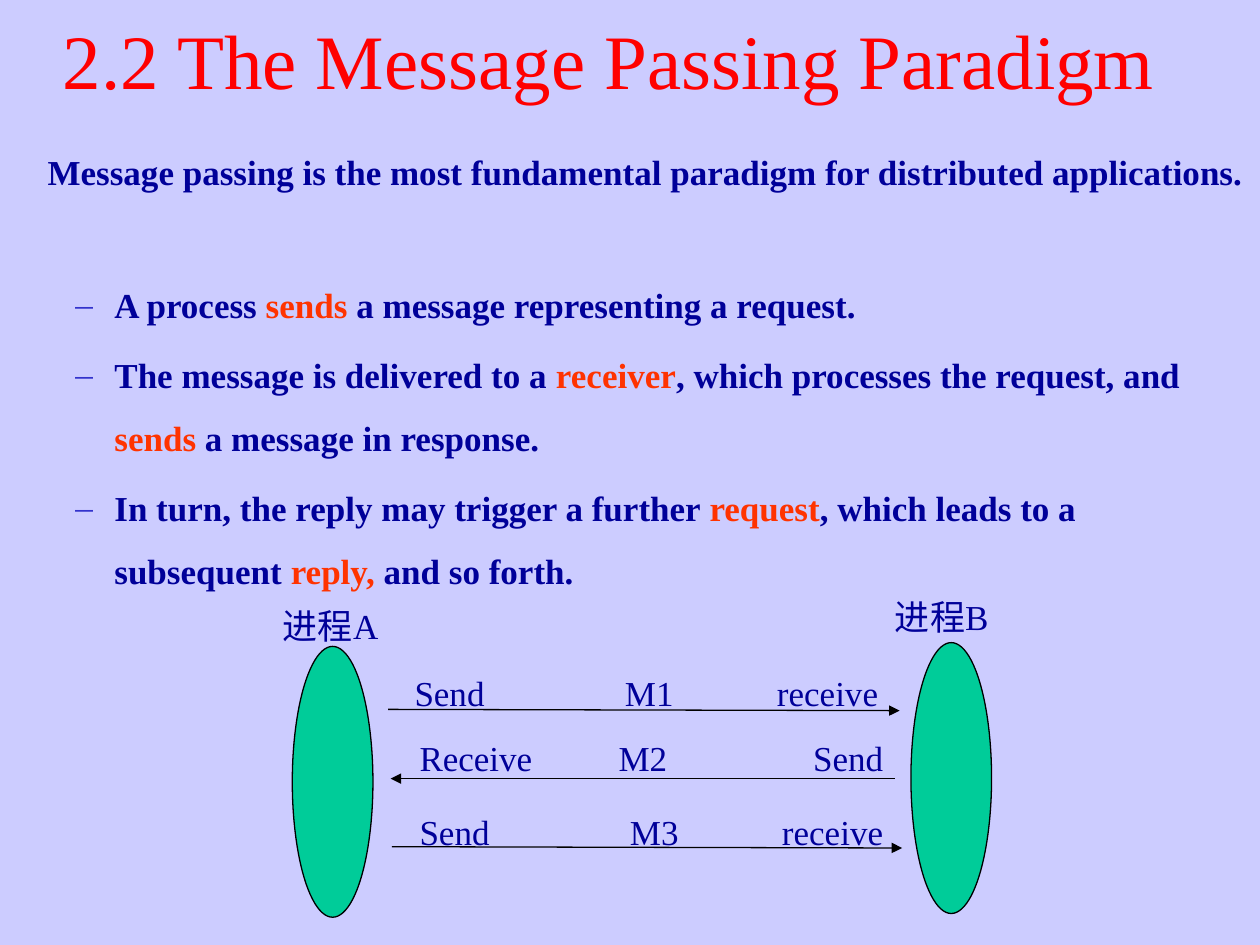
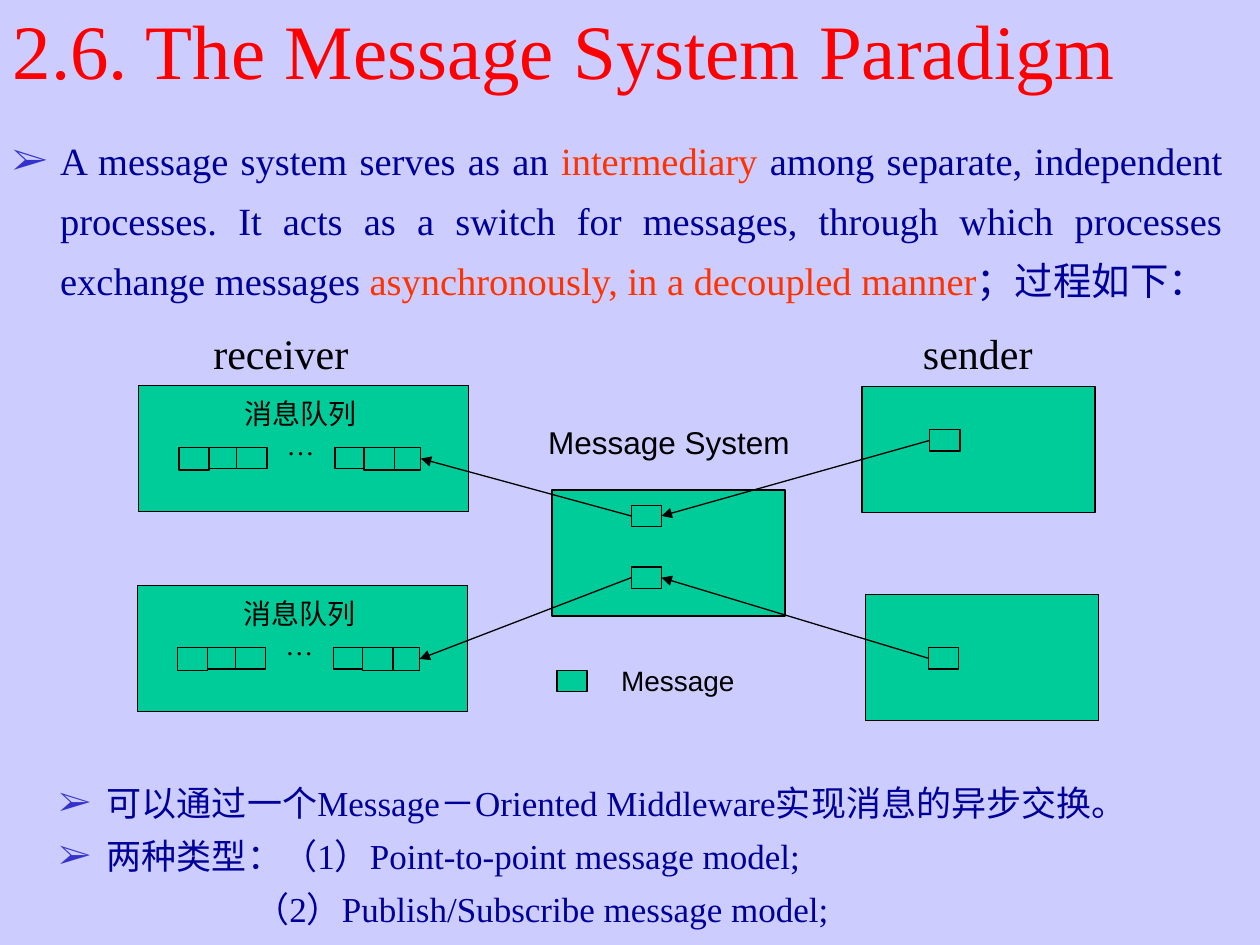
from lxml.etree import SubElement
from pptx import Presentation
from pptx.dml.color import RGBColor
from pptx.enum.shapes import MSO_CONNECTOR, MSO_SHAPE
from pptx.enum.text import MSO_ANCHOR, MSO_AUTO_SIZE, PP_ALIGN
from pptx.oxml.ns import qn
from pptx.util import Inches, Pt

# Shared look
LAVENDER = RGBColor(0xCC, 0xCC, 0xFF)
RED = RGBColor(0xFF, 0x00, 0x00)
NAVY = RGBColor(0x00, 0x00, 0x99)
ORANGE = RGBColor(0xFF, 0x33, 0x00)
GREEN = RGBColor(0x00, 0xCC, 0x99)
BLACK = RGBColor(0x00, 0x00, 0x00)
BULLET_BLUE = RGBColor(0x33, 0x33, 0xCC)
SERIF, SANS = "Times New Roman", "Arial"
TOP, LEFT, BOTTOM, RIGHT = range(4)


def inches(*lengths):
    return [Inches(length) for length in lengths]


def new_slide(prs, title, box, align):
    slide = prs.slides.add_slide(prs.slide_layouts[5])
    slide.background.fill.solid()
    slide.background.fill.fore_color.rgb = LAVENDER
    heading = slide.shapes.title
    heading.left, heading.top, heading.width, heading.height = inches(*box)
    frame = heading.text_frame
    frame.text = title
    frame.auto_size = MSO_AUTO_SIZE.NONE
    frame.vertical_anchor = MSO_ANCHOR.MIDDLE
    paragraph = frame.paragraphs[0]
    paragraph.alignment = align
    style_font(paragraph.runs[0].font, 44, RED)
    return slide


def style_font(font, size, color, name=SERIF, bold=False):
    font.name, font.size, font.bold = name, Pt(size), bold
    font.color.rgb = color


def set_indent(paragraph, margin, hanging=0, bullet=None):
    props = paragraph._p.get_or_add_pPr()
    props.set("marL", str(Inches(margin)))
    props.set("indent", str(-Inches(hanging)))
    if bullet:
        color = SubElement(props, qn("a:buClr"))
        SubElement(color, qn("a:srgbClr"), val=str(BULLET_BLUE))
        SubElement(props, qn("a:buFont"), typeface=SERIF)
        SubElement(props, qn("a:buChar"), char=bullet)


def set_tabs(paragraph, stops):
    tabs = SubElement(paragraph._p.get_or_add_pPr(), qn("a:tabLst"))
    for position, align in stops:
        SubElement(tabs, qn("a:tab"), pos=str(Inches(position)), algn=align)


def add_text(slide, box, lines, size, color, name=SERIF, bold=False,
             align=PP_ALIGN.LEFT, spacing=1.0, before=0.2):
    """Write one paragraph per line; words between asterisks are highlighted."""
    frame = slide.shapes.add_textbox(*inches(*box)).text_frame
    frame.word_wrap = True
    for index, line in enumerate(lines):
        paragraph = frame.add_paragraph() if index else frame.paragraphs[0]
        paragraph.alignment = align
        paragraph.line_spacing = spacing
        if index:
            paragraph.space_before = Pt(size * before)
        for part, words in enumerate(line.split("*")):
            if words:
                run = paragraph.add_run()
                run.text = words
                style_font(run.font, size, ORANGE if part % 2 else color, name, bold)
    return frame


def add_block(slide, kind, box):
    block = slide.shapes.add_shape(kind, *inches(*box))
    block.shadow.inherit = False
    block.fill.solid()
    block.fill.fore_color.rgb = GREEN
    block.line.color.rgb = BLACK
    block.line.width = Pt(0.75)
    return block


def add_arrow(slide, start=(0, 0), end=(0, 0)):
    arrow = slide.shapes.add_connector(MSO_CONNECTOR.STRAIGHT, *inches(*start, *end))
    arrow.line.color.rgb = BLACK
    arrow.line.width = Pt(0.75)
    SubElement(arrow.line._get_or_add_ln(), qn("a:tailEnd"), type="triangle")
    SubElement(arrow._element.spPr, qn("a:effectLst"))
    return arrow


# Slide 1: message passing
def passing_points(slide, box):
    frame = add_text(slide, box, [
        "Message passing is the most fundamental paradigm for distributed applications.",
        "A process *sends* a message representing a request.",
        "The message is delivered to a *receiver*, which processes the request, and "
        "*sends* a message in response.",
        "In turn, the reply may trigger a further *request*, which leads to a "
        "subsequent *reply,* and so forth.",
    ], 20, NAVY, bold=True, spacing=1.5)
    intro, *points = frame.paragraphs
    set_indent(intro, 0.28)
    points[0].space_before = Pt(40)
    for point in points:
        set_indent(point, 0.81, 0.31, "–")


def exchange_diagram(slide, left, top):
    # Processes: name, label offset, ellipse offset
    for process, label, oval in (("进程A", (0, 0.1), (0.46, 0.48)),
                                 ("进程B", (4.85, 0.03), (5.37, 0.45))):
        add_block(slide, MSO_SHAPE.OVAL, (left + oval[0], top + oval[1], 0.64, 2.15))
        add_text(slide, (left + label[0], top + label[1], 1.53, 0.36), [process],
                 20, NAVY, align=PP_ALIGN.CENTER)
    # Messages: words, offset of the words, middle tab, arrow start and end
    messages = (
        ("Send\tM1\treceive", (1.43, 0.63), 1.67, (1.22, 0.98), (5.28, 0.99)),
        ("Receive\tM2\tSend", (1.47, 1.15), 1.58, (5.24, 1.53), (1.24, 1.53)),
        ("Send\tM3\treceive", (1.47, 1.73), 1.67, (1.25, 2.07), (5.3, 2.08)),
    )
    for words, (x, y), middle, start, end in messages:
        frame = add_text(slide, (left + x, top + y, 3.9, 0.36), [words], 20, NAVY)
        frame.margin_left = frame.margin_right = 0
        set_tabs(frame.paragraphs[0], ((middle, "l"), (3.68, "r")))
        add_arrow(slide, (left + start[0], top + start[1]), (left + end[0], top + end[1]))


def message_passing_slide(prs):
    slide = new_slide(prs, "2.2 The Message Passing Paradigm",
                      (0.13, 0.11, 9.41, 0.71), PP_ALIGN.CENTER)
    passing_points(slide, (0, 0.98, 10, 3.36))
    exchange_diagram(slide, 1.86, 4.65)


# Slide 2: message system
def add_message(slide, left, top, width=0.24, height=0.17):
    return add_block(slide, MSO_SHAPE.RECTANGLE, (left, top, width, height))


def message_queue(slide, left, top):
    """Draw a receiver and return the last message of its queue."""
    add_block(slide, MSO_SHAPE.RECTANGLE, (left, top, 2.62, 1))
    for x, width, height in ((0.55, 0.24, 0.17), (0.78, 0.24, 0.17), (0.32, 0.24, 0.18),
                             (1.56, 0.24, 0.17), (1.79, 0.24, 0.18), (2.03, 0.21, 0.18)):
        last = add_message(slide, left + x, top + 0.49, width, height)
    add_text(slide, (left + 0.38, top + 0.1, 1.81, 0.71), ["消息队列", "…"],
             16, BLACK, align=PP_ALIGN.CENTER, spacing=0.75)
    return last


def sender(slide, left, top, message):
    """Draw a sender and return the message it holds."""
    add_block(slide, MSO_SHAPE.RECTANGLE, (left, top, 1.85, 1))
    return add_message(slide, left + message[0], top + message[1])


def message_system(slide, left, top):
    """Draw the switch and return its two messages."""
    add_block(slide, MSO_SHAPE.RECTANGLE, (left, top, 1.85, 1))
    add_text(slide, (left - 0.15, top - 0.55, 2.16, 0.37), ["Message System"], 18, BLACK,
             SANS, align=PP_ALIGN.CENTER, spacing=0.9)
    # Legend
    add_message(slide, left + 0.04, top + 1.43)
    add_text(slide, (left + 0.44, top + 1.36, 1.12, 0.34), ["Message"], 16, BLACK,
             SANS, align=PP_ALIGN.CENTER, spacing=0.9)
    return [add_message(slide, left + 0.63, top + y) for y in (0.12, 0.61)]


def system_diagram(slide, left, top):
    for role, x in (("receiver", 0.32), ("sender", 5.85)):
        add_text(slide, (left + x, top, 1.64, 0.4), [role], 24, BLACK,
                 align=PP_ALIGN.CENTER)
    switched = message_system(slide, left + 3.29, top + 1.34)
    sent = [sender(slide, left + 5.75, top + 0.52, (0.54, 0.34)),
            sender(slide, left + 5.78, top + 2.17, (0.5, 0.42))]
    queued = [message_queue(slide, left + 0.01, top + 0.51),
              message_queue(slide, left, top + 2.1)]
    for origin, relay, target in zip(sent, switched, queued):
        for begin, end in ((origin, relay), (relay, target)):
            arrow = add_arrow(slide)
            arrow.begin_connect(begin, LEFT)
            arrow.end_connect(end, RIGHT)


def system_definition(slide, box):
    frame = add_text(slide, box, [
        "A message system serves as an *intermediary* among separate, independent "
        "processes. It acts as a switch for messages, through which processes exchange "
        "messages *asynchronously, in a decoupled manner*；过程如下："
    ], 22, NAVY, align=PP_ALIGN.JUSTIFY, spacing=1.3)
    set_indent(frame.paragraphs[0], 0.38, 0.38, "➢")


def system_types(slide, box):
    frame = add_text(slide, box, [
        "可以通过一个Message－Oriented Middleware实现消息的异步交换。",
        "两种类型：（1）Point-to-point message model;",
        "（2）Publish/Subscribe message model;",
    ], 20, NAVY, spacing=1.1)
    *bulleted, second_type = frame.paragraphs
    for paragraph in bulleted:
        set_indent(paragraph, 0.38, 0.38, "➢")
    set_indent(second_type, 1.55)


def message_system_slide(prs):
    slide = new_slide(prs, "2.6. The Message System Paradigm",
                      (0, 0, 10, 0.77), PP_ALIGN.LEFT)
    system_diagram(slide, 1.09, 2.55)
    system_types(slide, (0.37, 6.12, 9.43, 1.37))
    system_definition(slide, (0, 0.93, 9.8, 1.55))


def main():
    prs = Presentation()
    prs.slide_width, prs.slide_height = inches(10, 7.5)
    message_passing_slide(prs)
    message_system_slide(prs)
    prs.save("out.pptx")


if __name__ == "__main__":
    main()
